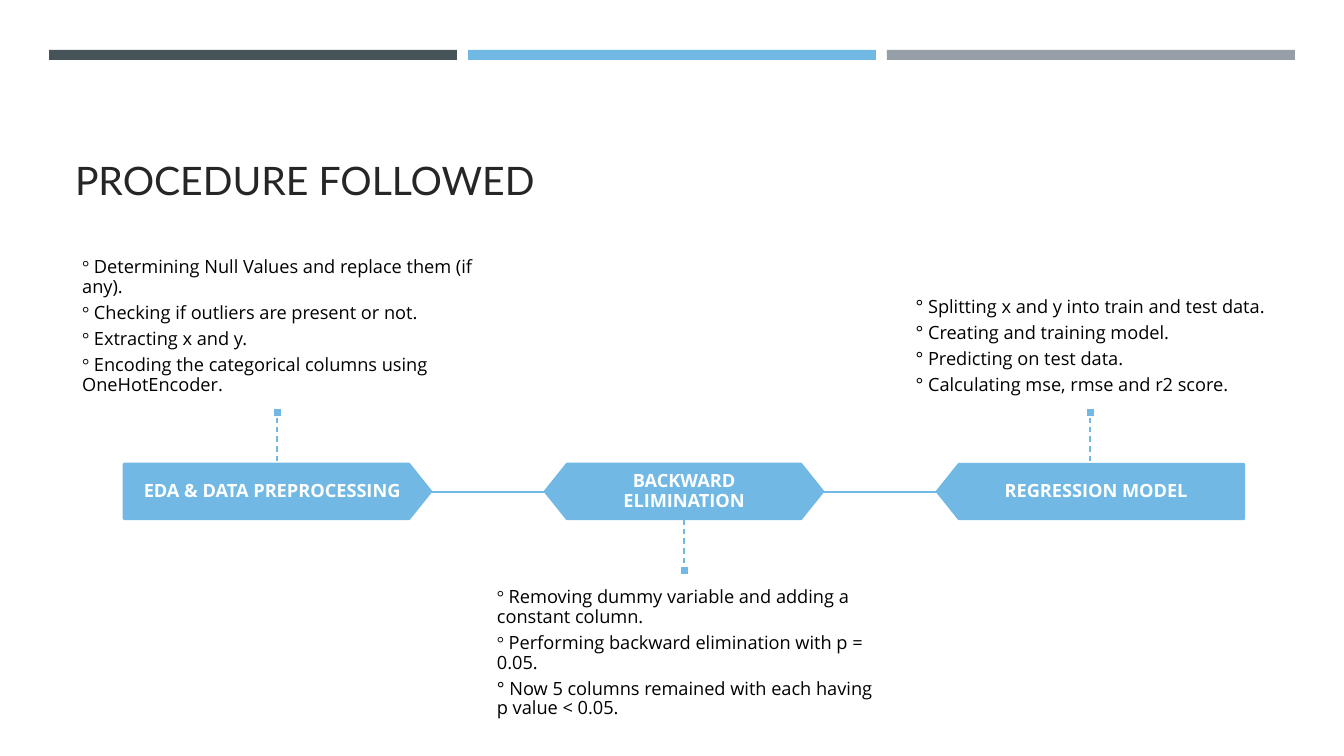
from pptx import Presentation
from pptx.dml.color import RGBColor
from pptx.enum.dml import MSO_LINE_DASH_STYLE as Dash
from pptx.enum.shapes import MSO_CONNECTOR as Connector, MSO_SHAPE as Shape
from pptx.enum.text import MSO_ANCHOR as Anchor, PP_ALIGN as Align
from pptx.oxml.ns import qn
from pptx.util import Pt
from lxml.etree import SubElement

SCALE = 914400 / 100.8
COLORS = {"slate": "465359", "blue": "71B9E4", "gray": "969FA7",
          "title": "262626", "white": "FFFFFF", "black": "000000"}
BODY, HEADING, SERIF = "Open Sans", "Lato", "Times New Roman"
PARAGRAPH = {"line_spacing": 0.9, "space_after": Pt(4.5)}
STAGES = [
    {"box": (124, 464, 307, 55), "preset": Shape.PENTAGON, "rotation": 0,
     "label": "EDA & DATA PREPROCESSING", "label_insets": (0, 0, 11),
     "notes_width": 426, "above": True, "serif_bullets": 4,
     "notes": ["Determining Null Values and replace them (if any).",
               "Checking if outliers are present or not.",
               "Extracting x and y.",
               "Encoding the categorical columns using OneHotEncoder."]},
    {"box": (545, 464, 278, 55), "preset": Shape.HEXAGON, "rotation": 0,
     "label": "BACKWARD ELIMINATION", "label_insets": (30, 6, 30),
     "notes_width": 387, "above": False, "serif_bullets": 2,
     "notes": ["Removing dummy variable and adding a constant column.",
               "Performing backward elimination with p = 0.05.",
               "Now 5 columns remained with each having p value < 0.05."]},
    {"box": (937, 464, 307, 55), "preset": Shape.PENTAGON, "rotation": 180,
     "label": "REGRESSION MODEL", "label_insets": (11, 0, 0),
     "notes_width": 426, "above": True, "serif_bullets": 0,
     "notes": ["Splitting x and y into train and test data.",
               "Creating and training model.",
               "Predicting on test data.",
               "Calculating mse, rmse and r2 score."]},
]


def px(*lengths):
    """Turn pixel lengths into a list of EMU."""
    return [round(length * SCALE) for length in lengths]


def rgb(name):
    """Look up a named colour."""
    return RGBColor.from_string(COLORS[name])


def apply_format(target, formats):
    """Set every attribute in a dict of format values."""
    for name, value in formats.items():
        setattr(target, name, value)


def add_block(slide, preset, box, fill, line=None):
    """Add a filled preset shape with an optional outline."""
    shape = slide.shapes.add_shape(preset, *px(*box))
    shape.shadow.inherit = False
    shape.fill.solid()
    shape.fill.fore_color.rgb = rgb(fill)
    if line:
        shape.line.color.rgb = rgb(line)
        shape.line.width = Pt(1.75)
    else:
        shape.line.fill.background()
    return shape


def add_line(slide, start, end, width, dash=None):
    """Add a blue straight connector without a shadow."""
    connector = slide.shapes.add_connector(Connector.STRAIGHT, *px(*start, *end))
    connector.line.color.rgb = rgb("blue")
    apply_format(connector.line, {"width": Pt(width), "dash_style": dash})
    SubElement(connector.element.spPr, qn("a:effectLst"))


def add_text(slide, box, paragraphs, color, size, anchor, insets, paragraph_format, bold=False):
    """Add a wrapped text box from paragraphs of (text, font) runs."""
    text_box = slide.shapes.add_textbox(*px(*box))
    frame = text_box.text_frame
    side, edge = px(*insets)
    apply_format(frame, {"word_wrap": True, "vertical_anchor": anchor,
                         "margin_left": side, "margin_right": side,
                         "margin_top": edge, "margin_bottom": edge})
    for index, runs in enumerate(paragraphs):
        paragraph = frame.add_paragraph() if index else frame.paragraphs[0]
        apply_format(paragraph, paragraph_format)
        for text, font in runs:
            run = paragraph.add_run()
            run.text = text
            apply_format(run.font, {"name": font, "size": Pt(size), "bold": bold})
            run.font.color.rgb = rgb(color)
    return text_box


def add_header(slide, box):
    """Draw the three colour bars and the title."""
    left, top, width, height = box
    gap = 11
    bar = (width - 2 * gap) // 3
    for index, color in enumerate(("slate", "blue", "gray")):
        add_block(slide, Shape.RECTANGLE, (left + index * (bar + gap), top, bar, 10), color)
    add_text(slide, (left + 16, top + 28, 1216, height - 28),
             [[("PROCEDURE FOLLOWED", HEADING)]], "title", 28, Anchor.BOTTOM, (10, 5),
             {"line_spacing": 0.9})


def add_notes(slide, box, stage):
    """Write the bulleted notes of a stage, centred as a block in the box."""
    paragraphs = [[("° ", SERIF if index < stage["serif_bullets"] else BODY), (note, BODY)]
                  for index, note in enumerate(stage["notes"])]
    anchor = Anchor.BOTTOM if stage["above"] else Anchor.TOP
    text_box = add_text(slide, box, paragraphs, "black", 13, anchor, (0, 13), PARAGRAPH)
    text_box.element.txBody.find(qn("a:bodyPr")).set("anchorCtr", "1")


def add_stage(slide, box, stage):
    """Draw a stage with its label, dashed stem, marker and notes."""
    left, top, width, height = box
    center, bottom = left + width // 2, top + height
    marker, stem, notes_height = 9, 47, 148
    block = add_block(slide, stage["preset"], box, "blue", "blue")
    block.adjustments[0] = 0.4
    block.rotation = stage["rotation"]
    before, edge, after = stage["label_insets"]
    add_text(slide, (left + before, top + edge, width - before - after, height - 2 * edge),
             [[(stage["label"], BODY)]], "white", 13, Anchor.MIDDLE, (11, 11),
             {**PARAGRAPH, "alignment": Align.CENTER}, True)
    if stage["above"]:
        stem_top, marker_top = top - stem, top - stem - marker
        notes_top = marker_top - notes_height
    else:
        stem_top, marker_top = bottom, bottom + stem
        notes_top = marker_top + marker
    add_line(slide, (center, stem_top), (center, stem_top + stem), 1, Dash.DASH)
    add_block(slide, Shape.RECTANGLE, (center - marker // 2, marker_top, marker, marker),
              "blue", "white")
    notes_width = stage["notes_width"]
    add_notes(slide, (center - notes_width // 2, notes_top, notes_width, notes_height), stage)


def add_process(slide, stages):
    """Draw the stages and the links between neighbours."""
    for stage in stages:
        add_stage(slide, stage["box"], stage)
    for current, following in zip(stages, stages[1:]):
        left, top, width, height = current["box"]
        middle = top + height // 2 + 1
        add_line(slide, (left + width, middle), (following["box"][0], middle), 1.75)


def main():
    """Build and save the presentation."""
    presentation = Presentation()
    width, height = px(1344, 756)
    apply_format(presentation, {"slide_width": width, "slide_height": height})
    slide = presentation.slides.add_slide(presentation.slide_layouts[6])
    add_header(slide, (49, 50, 1246, 159))
    add_process(slide, STAGES)
    presentation.save("out.pptx")


main()
